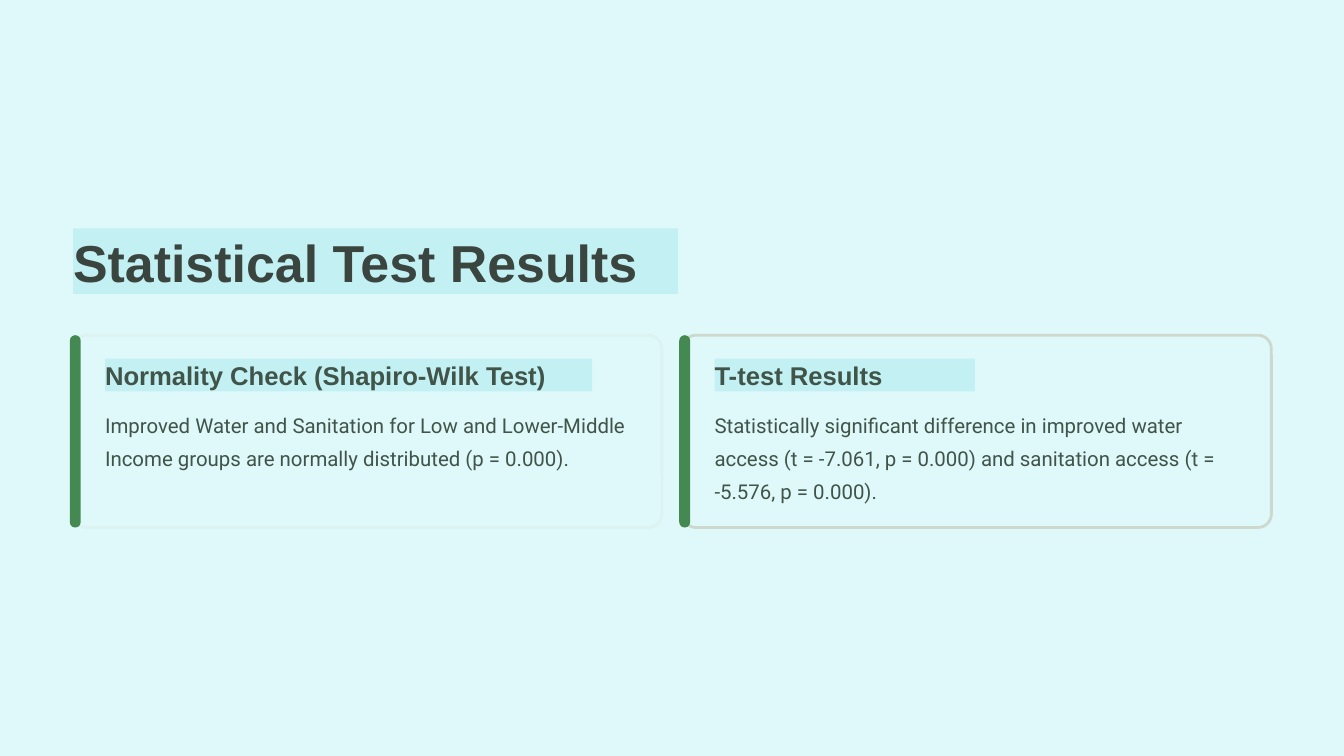
"""Build the statistical test results slide with two framed cards."""
from dataclasses import dataclass

from lxml import etree
from pptx import Presentation
from pptx.dml.color import RGBColor
from pptx.enum.shapes import MSO_SHAPE
from pptx.enum.text import MSO_ANCHOR, MSO_AUTO_SIZE, PP_ALIGN
from pptx.oxml.ns import qn
from pptx.util import Pt

ROUND = MSO_SHAPE.ROUNDED_RECTANGLE
TOP = MSO_ANCHOR.TOP
FIXED = MSO_AUTO_SIZE.NONE
LEFT = PP_ALIGN.LEFT

TITLE = "Statistical Test Results"
CARDS = [
    {"head": "Normality Check (Shapiro-Wilk Test)", "width": 417.6, "alpha": 15,
     "body": "Improved Water and Sanitation for Low and Lower-Middle Income "
             "groups are normally distributed (p = 0.000)."},
    {"head": "T-test Results", "width": 223.2, "alpha": 100,
     "body": "Statistically significant difference in improved water access "
             "(t = -7.061, p = 0.000) and sanitation access "
             "(t = -5.576, p = 0.000)."},
]


@dataclass(frozen=True)
class Style:
    """Font, size, line pitch, colour and weight of one kind of text."""
    font: str
    size: float
    pitch: float
    color: str
    bold: bool


@dataclass(frozen=True)
class Theme:
    """Colours and text styles of the slide."""
    back: str = "DFF8F9"
    tint: str = "27CED7"
    frame: str = "CED9CE"
    bar: str = "438951"
    title: Style = Style("Arial", 44.5, 55.5, "3B4540", True)
    head: Style = Style("Arial", 22, 27.5, "405449", True)
    body: Style = Style("Roboto", 17.5, 28.5, "405449", False)


THEME = Theme()
WIDE, HIGH = 1152, 648
EDGE, CARD_TOP, CARD_W, CARD_H = 62.64, 287.28, 504.72, 164.88
STEP = 522.4
BAR_OUT, BAR_W = 2.8, 9.36
PAD = 27.4
HEAD_TOP, HEAD_H = 307.44, 28.08
BODY_TOP, BODY_W, BODY_H = 346.32, 457.2, 85.68


def paint(fill, color):
    fill.solid()
    fill.fore_color.rgb = RGBColor.from_string(color)


def fade(shape, share):
    for color in shape._element.spPr.iter(qn("a:srgbClr")):
        etree.SubElement(color, qn("a:alpha"), val=str(share * 1000))


def write(shape, text, style, box, tint=None):
    shape.left, shape.top, shape.width, shape.height = map(Pt, box)
    if tint:
        paint(shape.fill, tint)
        fade(shape, 15)
    frame = shape.text_frame
    frame.margin_left = frame.margin_right = 0
    frame.margin_top = frame.margin_bottom = 0
    frame.word_wrap = True
    frame.auto_size = FIXED
    frame.vertical_anchor = TOP
    para = frame.paragraphs[0]
    para.alignment = LEFT
    para.line_spacing = Pt(style.pitch)
    para.space_before = Pt(0)
    props = para._p.get_or_add_pPr()
    props.set("marL", "0")
    props.set("indent", "0")
    etree.SubElement(props, qn("a:buNone"))
    run = para.add_run()
    run.text = text
    run.font.name = style.font
    run.font.size = Pt(style.size)
    run.font.bold = style.bold
    run.font.color.rgb = RGBColor.from_string(style.color)


def add_round(slide, box, ratio):
    shape = slide.shapes.add_shape(ROUND, *map(Pt, box))
    shape.shadow.inherit = False
    shape.adjustments[0] = ratio
    return shape


def add_card(slide, left, card, head, body):
    frame = add_round(slide, (left, CARD_TOP, CARD_W, CARD_H), 0.07)
    frame.fill.background()
    paint(frame.line.fill, THEME.frame)
    frame.line.width = Pt(2.4)
    if card["alpha"] < 100:
        fade(frame, card["alpha"])
    bar = add_round(slide, (left - BAR_OUT, CARD_TOP, BAR_W, CARD_H), 0.5)
    paint(bar.fill, THEME.bar)
    bar.line.fill.background()
    inner = left + PAD
    write(head, card["head"], THEME.head,
          (inner, HEAD_TOP, card["width"], HEAD_H), THEME.tint)
    write(body, card["body"], THEME.body, (inner, BODY_TOP, BODY_W, BODY_H))


def main():
    deck = Presentation()
    deck.slide_width, deck.slide_height = Pt(WIDE), Pt(HIGH)
    slide = deck.slides.add_slide(deck.slide_layouts.get_by_name("Comparison"))
    paint(slide.background.fill, THEME.back)
    write(slide.shapes.title, TITLE, THEME.title,
          (EDGE, 195.84, 518.4, 56.16), THEME.tint)
    slots = {slot.placeholder_format.idx: slot for slot in slide.placeholders}
    for num, card in enumerate(CARDS):
        add_card(slide, EDGE + num * STEP, card,
                 slots[2 * num + 1], slots[2 * num + 2])
    deck.save("out.pptx")


if __name__ == "__main__":
    main()
